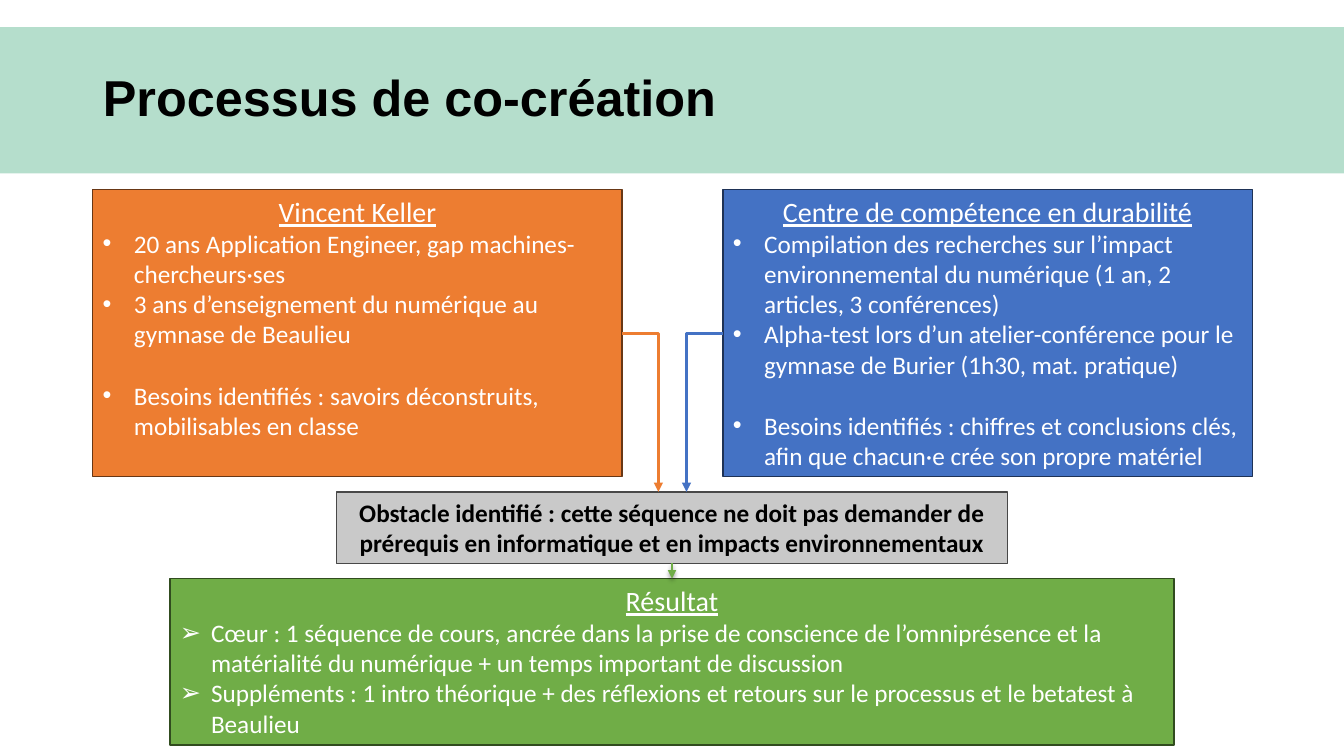
from collections import namedtuple

from lxml.etree import SubElement
from pptx import Presentation
from pptx.dml.color import RGBColor
from pptx.enum.shapes import MSO_CONNECTOR as Connector, MSO_SHAPE as Shape
from pptx.enum.text import MSO_ANCHOR as Anchor, MSO_AUTO_SIZE as AutoSize, PP_ALIGN as Align
from pptx.oxml.ns import qn
from pptx.util import Inches, Pt

Box = namedtuple("Box", "left top width height")

WIDTH, HEIGHT = 13.33, 7.5
MARGIN = 0.92
COLUMN = 5.25
INDENT = Inches(0.31)

GREEN_BAND = RGBColor(0x00, 0x90, 0x51)
ORANGE, BROWN = RGBColor(0xED, 0x7D, 0x31), RGBColor(0x68, 0x37, 0x15)
BLUE, NAVY = RGBColor(0x44, 0x72, 0xC4), RGBColor(0x1E, 0x32, 0x56)
GREY, DARK_GREY = RGBColor(0xC9, 0xC9, 0xC9), RGBColor(0x48, 0x48, 0x48)
GREEN, DARK_GREEN = RGBColor(0x70, 0xAD, 0x47), RGBColor(0x31, 0x4C, 0x1F)
WHITE, BLACK = RGBColor(0xFF, 0xFF, 0xFF), RGBColor(0x00, 0x00, 0x00)

TITLE = {"name": "Arial", "size": Pt(36), "bold": True}
HEADING = {"name": "Calibri", "size": Pt(20), "underline": True}
ITEM = {"name": "Calibri", "size": Pt(18)}
OBSTACLE = {"name": "Calibri", "size": Pt(18), "bold": True}

KELLER_ITEMS = [
    "20 ans Application Engineer, gap machines-chercheurs·ses",
    "3 ans d’enseignement du numérique au gymnase de Beaulieu",
    "Besoins identifiés : savoirs déconstruits, mobilisables en classe",
]
CENTRE_ITEMS = [
    "Compilation des recherches sur l’impact environnemental du numérique "
    "(1 an, 2 articles, 3 conférences)",
    "Alpha-test lors d’un atelier-conférence pour le gymnase de Burier (1h30, mat. pratique)",
    "Besoins identifiés : chiffres et conclusions clés, afin que chacun·e crée son propre matériel",
]
RESULT_ITEMS = [
    "Cœur : 1 séquence de cours, ancrée dans la prise de conscience de l’omniprésence "
    "et la matérialité du numérique + un temps important de discussion",
    "Suppléments : 1 intro théorique + des réflexions et retours sur le processus "
    "et le betatest à Beaulieu",
]


def inches(values):
    """Convert lengths in inches to slide units."""
    return [Inches(value) for value in values]


def style(font, formats, color):
    """Apply a dict of font values and a colour."""
    for key, value in formats.items():
        setattr(font, key, value)
    font.color.rgb = color


def add_panel(slide, box, fill, border=None):
    """Add a flat rectangle, with a thin border if a colour is given."""
    panel = slide.shapes.add_shape(Shape.RECTANGLE, *inches(box))
    panel.shadow.inherit = False
    panel.fill.solid()
    panel.fill.fore_color.rgb = fill
    if border is None:
        panel.line.fill.background()
    else:
        panel.line.color.rgb = border
        panel.line.width = Pt(1)
    panel.text_frame.word_wrap = True
    panel.text_frame.vertical_anchor = Anchor.TOP
    return panel


def add_header(slide, box, text):
    """Place the title on a translucent band across the slide."""
    band = add_panel(slide, box, GREEN_BAND)
    color = band.fill._xPr.find(".//" + qn("a:srgbClr"))
    SubElement(color, qn("a:alpha"), val="29000")
    slide.shapes._spTree.insert(2, band._element)

    title = slide.shapes.title
    place = box._replace(left=box.left + MARGIN, width=box.width - 2 * MARGIN)
    title.left, title.top, title.width, title.height = inches(place)
    frame = title.text_frame
    frame.text = text
    frame.auto_size = AutoSize.NONE
    frame.vertical_anchor = Anchor.MIDDLE
    heading = frame.paragraphs[0]
    heading.alignment = Align.LEFT
    heading.line_spacing = 0.9
    style(heading.font, TITLE, BLACK)


def add_card(slide, box, fill, border, heading, items, bullet, spaced=None):
    """Add a panel with a centred heading and a bulleted list."""
    frame = add_panel(slide, box, fill, border).text_frame
    top_line = frame.paragraphs[0]
    top_line.text = heading
    top_line.alignment = Align.CENTER
    style(top_line.font, HEADING, WHITE)
    for index, item in enumerate(items):
        line = frame.add_paragraph()
        line.text = item
        line.alignment = Align.LEFT
        if index == spaced:
            line.space_before = Pt(22)
        properties = line._p.get_or_add_pPr()
        properties.set("marL", str(INDENT))
        properties.set("indent", str(-INDENT))
        SubElement(properties, qn("a:buFont"), typeface="Arial")
        SubElement(properties, qn("a:buChar"), char=bullet)
        style(line.font, ITEM, WHITE)


def add_obstacle(slide, box, text):
    """Add the grey panel that states the obstacle."""
    frame = add_panel(slide, box, GREY, DARK_GREY).text_frame
    statement = frame.paragraphs[0]
    statement.text = text
    statement.alignment = Align.CENTER
    style(statement.font, OBSTACLE, BLACK)


def add_arrow(slide, start, end, color, width, bent=False):
    """Add an arrow, flat and with one right-angled turn if bent."""
    kind = Connector.ELBOW if bent else Connector.STRAIGHT
    arrow = slide.shapes.add_connector(kind, *inches(start + end))
    arrow.line.color.rgb = color
    arrow.line.width = Pt(width)
    SubElement(arrow.line._get_or_add_ln(), qn("a:tailEnd"), type="triangle")
    if bent:
        properties = arrow._element.spPr
        properties.find(qn("a:prstGeom")).set("prst", "bentConnector2")
        SubElement(properties, qn("a:effectLst"))


def add_process(slide, top):
    """Lay out both partners, the obstacle, the result and their arrows."""
    keller = Box(MARGIN, top, COLUMN, 2.85)
    centre = keller._replace(left=WIDTH - MARGIN - COLUMN + 0.01)
    obstacle = Box((WIDTH - 6.66) / 2, top + 3, 6.66, 0.71)
    result = Box((WIDTH - 9.96) / 2, top + 3.86, 9.96, 1.65)

    add_card(slide, keller, ORANGE, BROWN, "Vincent Keller", KELLER_ITEMS, "•", spaced=2)
    add_card(slide, centre, BLUE, NAVY, "Centre de compétence en durabilité",
             CENTRE_ITEMS, "•", spaced=2)
    add_obstacle(slide, obstacle, "Obstacle identifié : cette séquence ne doit pas demander de "
                 "prérequis en informatique et en impacts environnementaux")
    add_card(slide, result, GREEN, DARK_GREEN, "Résultat", RESULT_ITEMS, "➢")

    middle = top + keller.height / 2
    keller_edge = keller.left + keller.width
    reach = 0.36
    add_arrow(slide, (keller_edge, middle), (keller_edge + reach, obstacle.top),
              ORANGE, 2.25, bent=True)
    add_arrow(slide, (centre.left, middle), (centre.left - reach, obstacle.top),
              BLUE, 2.25, bent=True)
    add_arrow(slide, (WIDTH / 2, obstacle.top + obstacle.height), (WIDTH / 2, result.top),
              GREEN, 1.5)


def main():
    """Build the slide and save it."""
    deck = Presentation()
    deck.slide_width, deck.slide_height = inches((WIDTH, HEIGHT))
    slide = deck.slides.add_slide(deck.slide_layouts[5])
    add_header(slide, Box(0, 0.27, WIDTH, 1.45), "Processus de co-création")
    add_process(slide, 1.88)
    deck.save("out.pptx")


if __name__ == "__main__":
    main()
